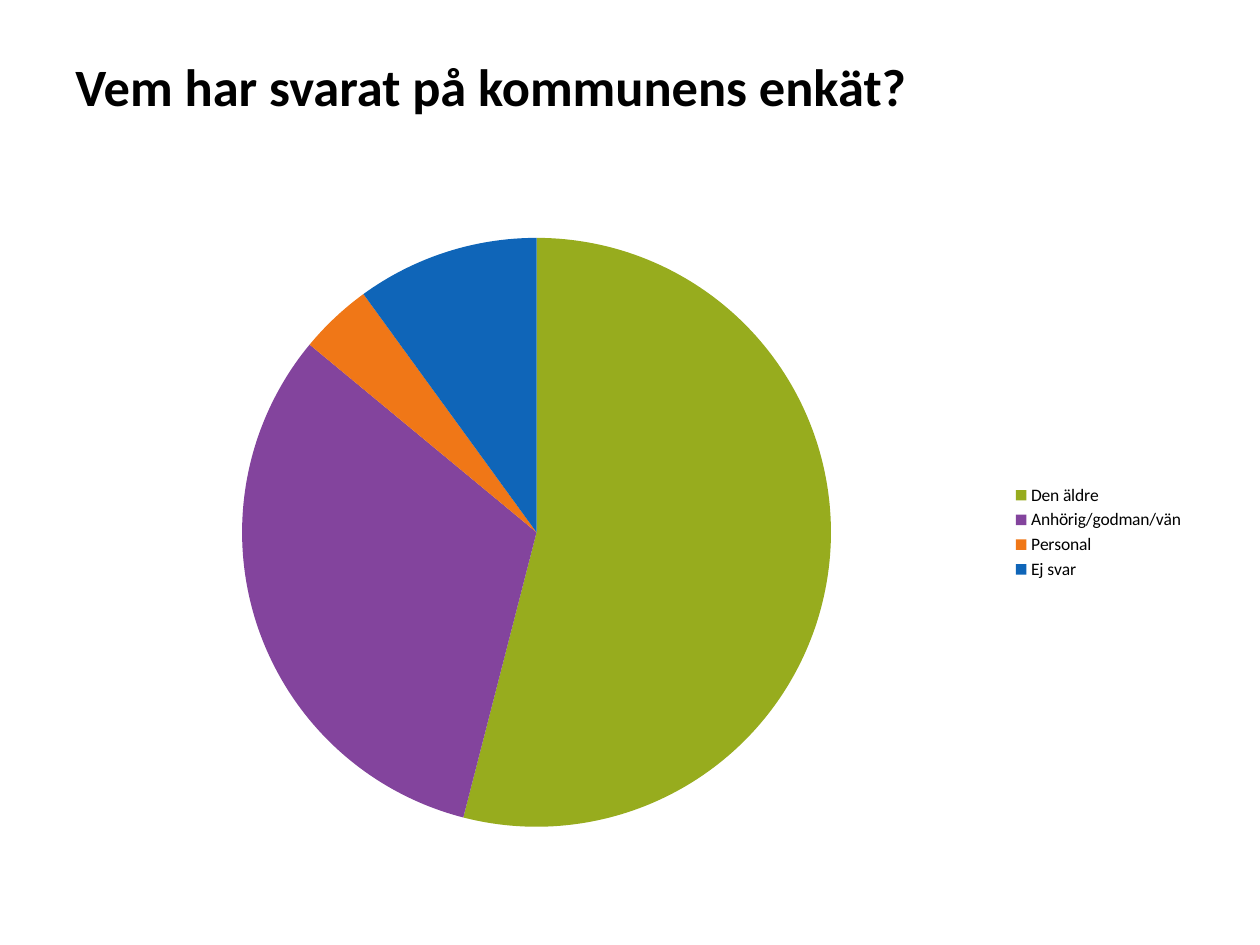
from pptx import Presentation
from pptx.chart.data import CategoryChartData
from pptx.dml.color import RGBColor
from pptx.enum.chart import XL_CHART_TYPE as ChartType, XL_LEGEND_POSITION as LegendPosition
from pptx.enum.text import MSO_ANCHOR as Anchor
from pptx.util import Inches, Pt

FONT = "Calibri"
BLACK = RGBColor(0x00, 0x00, 0x00)
GREEN = RGBColor(0x97, 0xAC, 0x1E)
PURPLE = RGBColor(0x83, 0x44, 0x9D)
ORANGE = RGBColor(0xF0, 0x77, 0x17)
BLUE = RGBColor(0x0F, 0x65, 0xB8)

LEFT, WIDTH = Inches(0.5), Inches(9)
RESPONDENTS = [
    ("Den äldre", 54, GREEN),
    ("Anhörig/godman/vän", 32, PURPLE),
    ("Personal", 4, ORANGE),
    ("Ej svar", 10, BLUE),
]


def style_font(font, size, bold=False):
    font.name = FONT
    font.size = Pt(size)
    font.bold = bold
    font.color.rgb = BLACK


def add_title(slide, text):
    text_box = slide.shapes.add_textbox(LEFT, Inches(0.3), WIDTH, Inches(1.25))
    frame = text_box.text_frame
    frame.word_wrap = True
    frame.vertical_anchor = Anchor.TOP
    frame.margin_top = Inches(0.07)
    paragraph = frame.paragraphs[0]
    paragraph.text = text
    paragraph.line_spacing = Pt(40)
    style_font(paragraph.font, 30, bold=True)


def add_respondent_pie(slide):
    names, shares, colors = zip(*RESPONDENTS)
    data = CategoryChartData()
    data.categories = names
    data.add_series("Series 1", shares)
    chart = slide.shapes.add_chart(
        ChartType.PIE, LEFT, Inches(1.75), WIDTH, Inches(4.95), data
    ).chart
    chart.has_title = False
    style_font(chart.font, 10)
    chart.has_legend = True
    chart.legend.position = LegendPosition.RIGHT
    chart.legend.include_in_layout = False
    plot = chart.plots[0]
    plot.vary_by_categories = True
    for index, color in enumerate(colors):
        fill = plot.series[0].points[index].format.fill
        fill.solid()
        fill.fore_color.rgb = color


def main():
    presentation = Presentation()
    presentation.slide_width = Inches(10)
    presentation.slide_height = Inches(7.5)
    slide = presentation.slides.add_slide(presentation.slide_layouts[6])
    add_title(slide, "Vem har svarat på kommunens enkät?")
    add_respondent_pie(slide)
    presentation.save("out.pptx")


if __name__ == "__main__":
    main()
